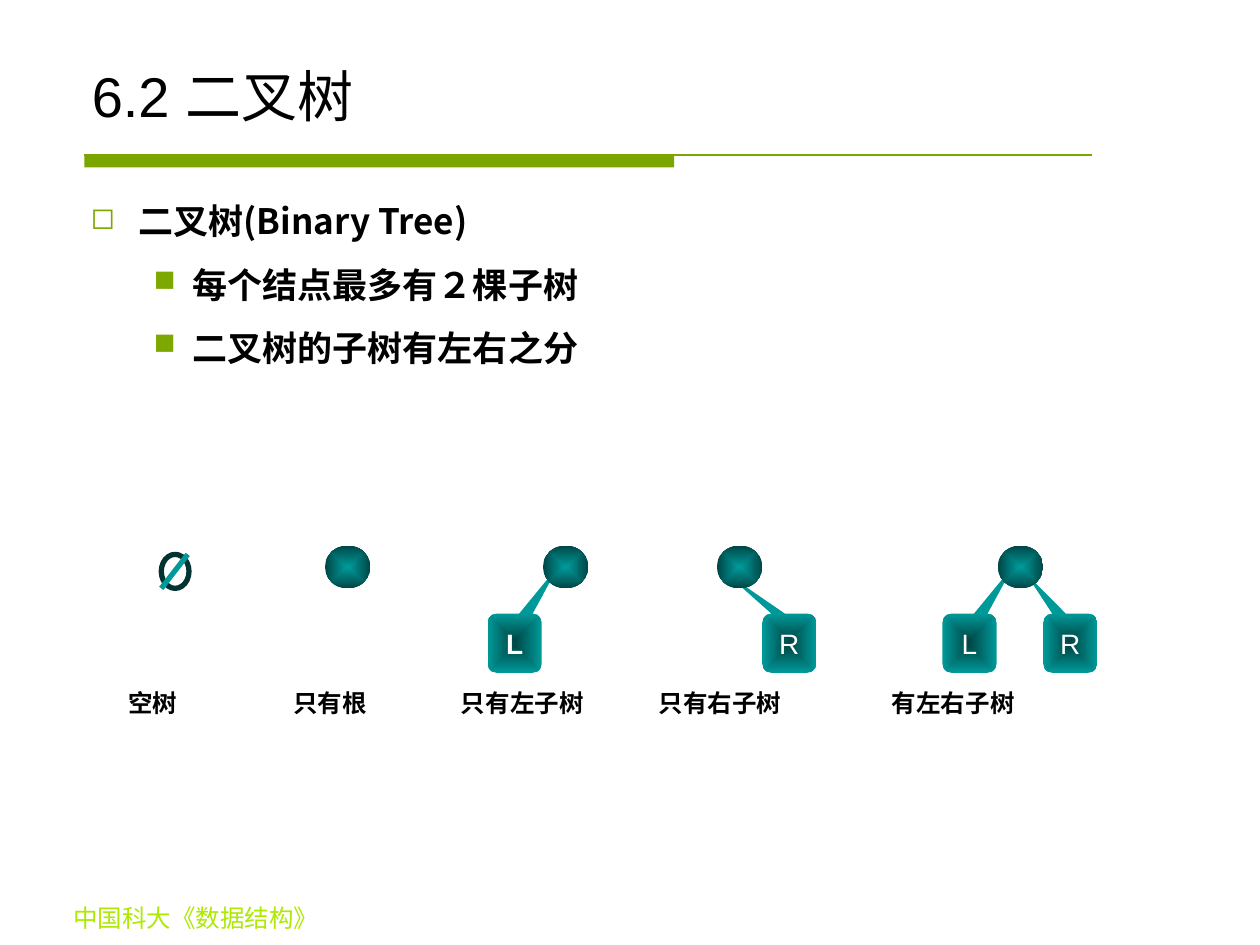
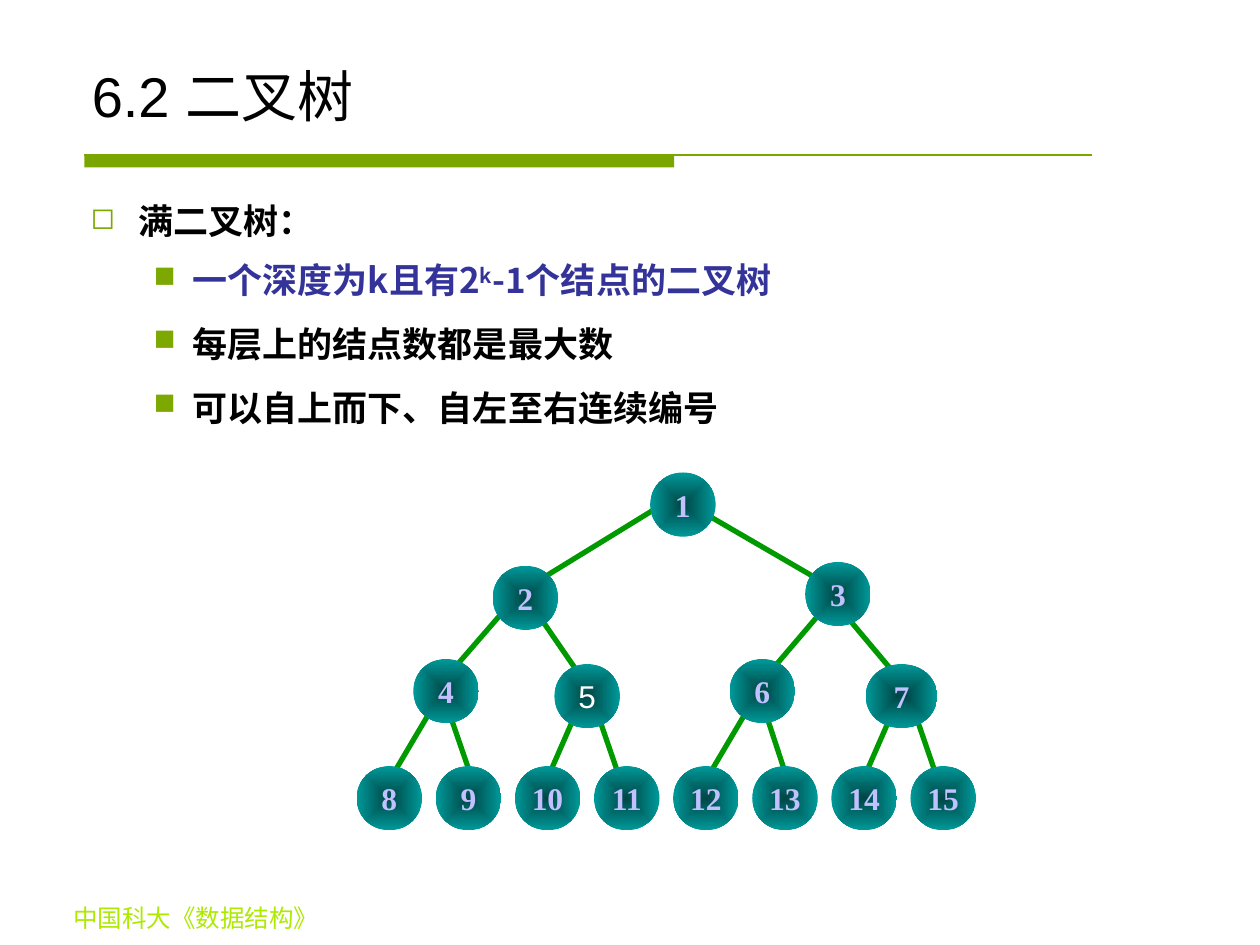
"""Build two slides that introduce binary trees."""
from dataclasses import dataclass
from itertools import accumulate

from lxml import etree
from pptx import Presentation
from pptx import util as u
from pptx.dml.color import RGBColor
from pptx.enum import shapes, text
from pptx.oxml import parse_xml
from pptx.oxml.ns import nsdecls, qn


@dataclass(frozen=True)
class Theme:
    """Colours, fonts and type sizes of the deck."""
    black: str = "000000"
    white: str = "FFFFFF"
    band: str = "7BA600"
    bullet: str = "7CA800"
    footer: str = "ADEA00"
    accent: str = "333399"
    teal: str = "009999"
    deep: str = "004646"
    ring: str = "003332"
    branch: str = "009900"
    number: str = "C1C1FF"
    sans: str = "Arial"
    serif: str = "Times New Roman"
    cjk: str = "Noto Sans CJK SC"
    caption: str = "Roboto"
    symbol: str = "OpenSymbol"
    title_size: int = 32
    body_size: int = 20
    node_size: int = 18
    child_size: int = 16
    small_size: int = 14


@dataclass(frozen=True)
class Box:
    """A rectangle in columns and rows of the grid."""
    x: float
    y: float
    w: float
    h: float


@dataclass(frozen=True)
class Run:
    """A piece of text with its own colour or baseline."""
    text: str
    color: str = Theme.black
    baseline: int = 0


@dataclass(frozen=True)
class Point:
    """A bulleted paragraph."""
    runs: tuple[Run, ...]
    level: int = 1
    before: float = 7.5


@dataclass(frozen=True)
class Child:
    """A subtree callout placed relative to its root."""
    label: str
    dx: float
    tail: tuple[float, float]
    bold: bool = False


@dataclass(frozen=True)
class Tree:
    """A root disc with its subtrees."""
    x: float
    children: tuple[Child, ...] = ()


@dataclass(frozen=True)
class Node:
    """A numbered disc and the branch that leads to it."""
    x: float
    y: float
    branch: tuple[float, float, float, float] | None = None
    w: float = 5.2


T = Theme()
COLUMNS, ROWS = 100, 75
WIDTH, HEIGHT = u.Inches(10), u.Inches(7.5)
TITLE = Box(6.3, 3.3, 87.5, 7.4)
FOOTER = Box(0, 71.2, 31.1, 3.4)
BAND = Box(6.7, 12.3, 80, 1)
BAND_SHARE = 0.585

BULLETS = {0: ("◻", 0.38, 0.38), 1: ("■", 0.81, 0.31)}
INTRO = (
    Point((Run("二叉树(Binary Tree)"),), level=0, before=5),
    Point((Run("每个结点最多有２棵子树"),)),
    Point((Run("二叉树的子树有左右之分"),)),
)
FULL = (
    Point((Run("满二叉树："),), level=0, before=5),
    Point((Run("一个深度为k且有2", T.accent), Run("k", T.accent, 30),
           Run("-1个结点的二叉树", T.accent)), before=5),
    Point((Run("每层上的结点数都是最大数"),)),
    Point((Run("可以自上而下、自左至右连续编号"),)),
)

LEFT_DX, RIGHT_DX = -4.4, 3.6
LEFT_TAIL = (0.82, -1.32)
FORMS = (
    Tree(25.8),
    Tree(43.1, (Child("L", LEFT_DX, LEFT_TAIL, bold=True),)),
    Tree(56.9, (Child("R", RIGHT_DX, (-1.18, -1.19)),)),
    Tree(79.2, (Child("L", LEFT_DX, LEFT_TAIL),
                Child("R", RIGHT_DX, (-0.83, -1.19)))),
)
CAPTIONS = ("空树", "只有根", "只有左子树", "只有右子树", "有左右子树")
CAPTION_STEPS = (1.31, 1.33, 1.57, 1.85)

LEAF_X, LEAF_Y, LEAF_STEP = 28.3, 60.8, 6.28
LEAF_BRANCHES = (
    (34.6, 55.7, 30.4, 62.8), (35.7, 56.7, 37.8, 62.8),
    (46.1, 55.7, 43.0, 62.8), (47.1, 55.7, 49.2, 61.8),
    (59.7, 55.7, 55.5, 62.8), (60.8, 56.7, 62.8, 62.8),
    (71.2, 55.7, 68.1, 62.8), (72.3, 55.7, 74.4, 61.8),
)
NODES = (
    Node(51.6, 37.5),
    Node(39.1, 44.9, (52.8, 39.9, 41.9, 46.6)),
    Node(63.9, 44.6, (55.5, 40.5, 66.0, 46.6)),
    Node(32.8, 52.3, (39.8, 48.7, 34.6, 54.7)),
    Node(44.0, 52.7, (41.9, 47.6, 46.1, 53.7)),
    Node(57.9, 52.3, (66.0, 47.6, 60.8, 53.7)),
    Node(68.7, 52.7, (67.0, 48.7, 71.2, 53.7), w=5.7),
    *(Node(LEAF_X + i * LEAF_STEP, LEAF_Y, branch)
      for i, branch in enumerate(LEAF_BRANCHES)),
)
PLAIN_NUMBER = 5


def col(n: float) -> int:
    """Return the length of n grid columns."""
    return round(WIDTH * n / COLUMNS)


def row(n: float) -> int:
    """Return the length of n grid rows."""
    return round(HEIGHT * n / ROWS)


def place(box: Box) -> tuple[int, int, int, int]:
    """Return left, top, width and height of a box."""
    return col(box.x), row(box.y), col(box.w), row(box.h)


def add_run(p, content: str, *, size: float, font: str = T.cjk,
            color: str = T.black, bold: bool = False, baseline: int = 0) -> None:
    """Append formatted text to a paragraph."""
    r = p.add_run()
    r.text = content
    r.font.size, r.font.bold, r.font.name = u.Pt(size), bold, font
    r.font.color.rgb = RGBColor.from_string(color)
    rpr = r.font._element
    if baseline:
        rpr.set("baseline", str(baseline * 1000))
    etree.SubElement(rpr, qn("a:ea")).set("typeface", T.cjk)


def add_box(slide, box: Box, anchor=text.MSO_ANCHOR.TOP):
    """Add a wrapping text box and return its text frame."""
    tf = slide.shapes.add_textbox(*place(box)).text_frame
    tf.word_wrap, tf.vertical_anchor = True, anchor
    return tf


def add_figure(slide, kind, box: Box, center: str = "", edge: str = ""):
    """Add a preset shape without line, shaded from center to edge if given."""
    sp = slide.shapes.add_shape(kind, *place(box))
    sp.shadow.inherit = False
    sp.fill.background()
    sp.line.fill.background()
    if center:
        props = sp._element.spPr
        props.replace(props.find(qn("a:noFill")), parse_xml(
            f'<a:gradFill {nsdecls("a")} rotWithShape="1"><a:gsLst>'
            f'<a:gs pos="0"><a:srgbClr val="{center}"/></a:gs>'
            f'<a:gs pos="100000"><a:srgbClr val="{edge}"/></a:gs></a:gsLst>'
            '<a:path path="rect"><a:fillToRect l="50000" t="50000" r="50000" '
            'b="50000"/></a:path></a:gradFill>'))
    return sp


def add_label(sp, content: str, **style) -> None:
    """Write one centred line inside a shape."""
    tf = sp.text_frame
    tf.word_wrap, tf.vertical_anchor = False, text.MSO_ANCHOR.MIDDLE
    p = tf.paragraphs[0]
    p.alignment = text.PP_ALIGN.CENTER
    add_run(p, content, **style)


def add_line(slide, ends: tuple[float, float, float, float],
             color: str, width: float = 3) -> None:
    """Draw a straight line between two grid points."""
    x1, y1, x2, y2 = ends
    line = slide.shapes.add_connector(
        shapes.MSO_CONNECTOR.STRAIGHT, col(x1), row(y1), col(x2), row(y2))
    line.line.color.rgb = RGBColor.from_string(color)
    line.line.width = u.Pt(width)
    etree.SubElement(line._element.spPr, qn("a:effectLst"))


def add_bullet(p, level: int) -> None:
    """Give a paragraph the bullet and indent of its level."""
    char, margin, hang = BULLETS[level]
    ppr = p._p.get_or_add_pPr()
    ppr.set("marL", str(u.Inches(margin)))
    ppr.set("indent", str(-u.Inches(hang)))
    color = etree.SubElement(ppr, qn("a:buClr"))
    etree.SubElement(color, qn("a:srgbClr")).set("val", T.bullet)
    for tag, key, value in (("a:buSzPct", "val", "85000"),
                            ("a:buFont", "typeface", T.symbol),
                            ("a:buChar", "char", char)):
        etree.SubElement(ppr, qn(tag)).set(key, value)
    p.level = level


def add_points(slide, box: Box, points: tuple[Point, ...]) -> None:
    """Write the bulleted body."""
    tf = add_box(slide, box)
    for i, point in enumerate(points):
        p = tf.add_paragraph() if i else tf.paragraphs[0]
        add_bullet(p, point.level)
        p.line_spacing = 1.2
        if i:
            p.space_before = u.Pt(point.before)
        for run in point.runs:
            add_run(p, run.text, size=T.body_size, bold=True,
                    color=run.color, baseline=run.baseline)


def add_base(prs):
    """Add a slide with the shared band, footer and title."""
    slide = prs.slides.add_slide(prs.slide_layouts[6])
    bar = add_figure(slide, shapes.MSO_SHAPE.RECTANGLE,
                     Box(BAND.x, BAND.y, BAND.w * BAND_SHARE, BAND.h))
    bar.fill.solid()
    bar.fill.fore_color.rgb = RGBColor.from_string(T.band)
    add_line(slide, (BAND.x, BAND.y, BAND.x + BAND.w, BAND.y), T.band, 0.75)
    p = add_box(slide, FOOTER).paragraphs[0]
    p.alignment = text.PP_ALIGN.CENTER
    add_run(p, "中国科大《数据结构》", size=T.small_size, font=T.serif, color=T.footer)
    p = add_box(slide, TITLE, text.MSO_ANCHOR.BOTTOM).paragraphs[0]
    add_run(p, "6.2 ", size=T.title_size, font=T.sans)
    add_run(p, "二叉树", size=T.title_size)
    return slide


def add_captions(slide) -> None:
    """Write the names of the five forms on tab stops."""
    p = add_box(slide, Box(9.2, 54.1, 80.8, 3.4)).paragraphs[0]
    tabs = etree.SubElement(p._p.get_or_add_pPr(), qn("a:tabLst"))
    for stop in accumulate(CAPTION_STEPS):
        tab = etree.SubElement(tabs, qn("a:tab"))
        tab.set("pos", str(u.Inches(stop)))
        tab.set("algn", "l")
    add_run(p, "\t".join(CAPTIONS), size=T.small_size, font=T.caption, bold=True)


def build_forms(prs) -> None:
    """Build the slide with the five forms of a binary tree."""
    slide = add_base(prs)
    add_points(slide, Box(6.2, 14.7, 87.5, 54.3), INTRO)
    for tree in FORMS:
        for child in tree.children:
            sp = add_figure(slide, shapes.MSO_SHAPE.ROUNDED_RECTANGULAR_CALLOUT,
                            Box(tree.x + child.dx, 48.7, 4.3, 4.7), T.deep, T.teal)
            sp.adjustments[0], sp.adjustments[1] = child.tail
            add_label(sp, child.label, size=T.child_size, font=T.sans,
                      color=T.white, bold=child.bold)
    empty = add_figure(slide, shapes.MSO_SHAPE.OVAL, Box(12.8, 44, 2.2, 2.7))
    empty.line.color.rgb = RGBColor.from_string(T.ring)
    empty.line.width = u.Pt(3)
    add_line(slide, (14.9, 44, 12.8, 46.7), T.teal)
    for tree in FORMS:
        add_figure(slide, shapes.MSO_SHAPE.OVAL, Box(tree.x, 43.3, 3.6, 3.4),
                   T.teal, T.deep)
    add_captions(slide)


def build_full_tree(prs) -> None:
    """Build the slide with the numbered full binary tree."""
    slide = add_base(prs)
    add_points(slide, Box(6.2, 14.7, 87.5, 21.2), FULL)
    for node in NODES:
        if node.branch:
            add_line(slide, node.branch, T.branch)
    for number, node in enumerate(NODES, 1):
        sp = add_figure(slide, shapes.MSO_SHAPE.OVAL,
                        Box(node.x, node.y, node.w, 5.1), T.deep, T.teal)
        plain = number == PLAIN_NUMBER
        add_label(sp, str(number), size=T.node_size, bold=not plain,
                  font=T.sans if plain else T.serif,
                  color=T.white if plain else T.number)


def main() -> None:
    """Create the deck and save it."""
    prs = Presentation()
    prs.slide_width, prs.slide_height = WIDTH, HEIGHT
    build_forms(prs)
    build_full_tree(prs)
    prs.save("out.pptx")


if __name__ == "__main__":
    main()
